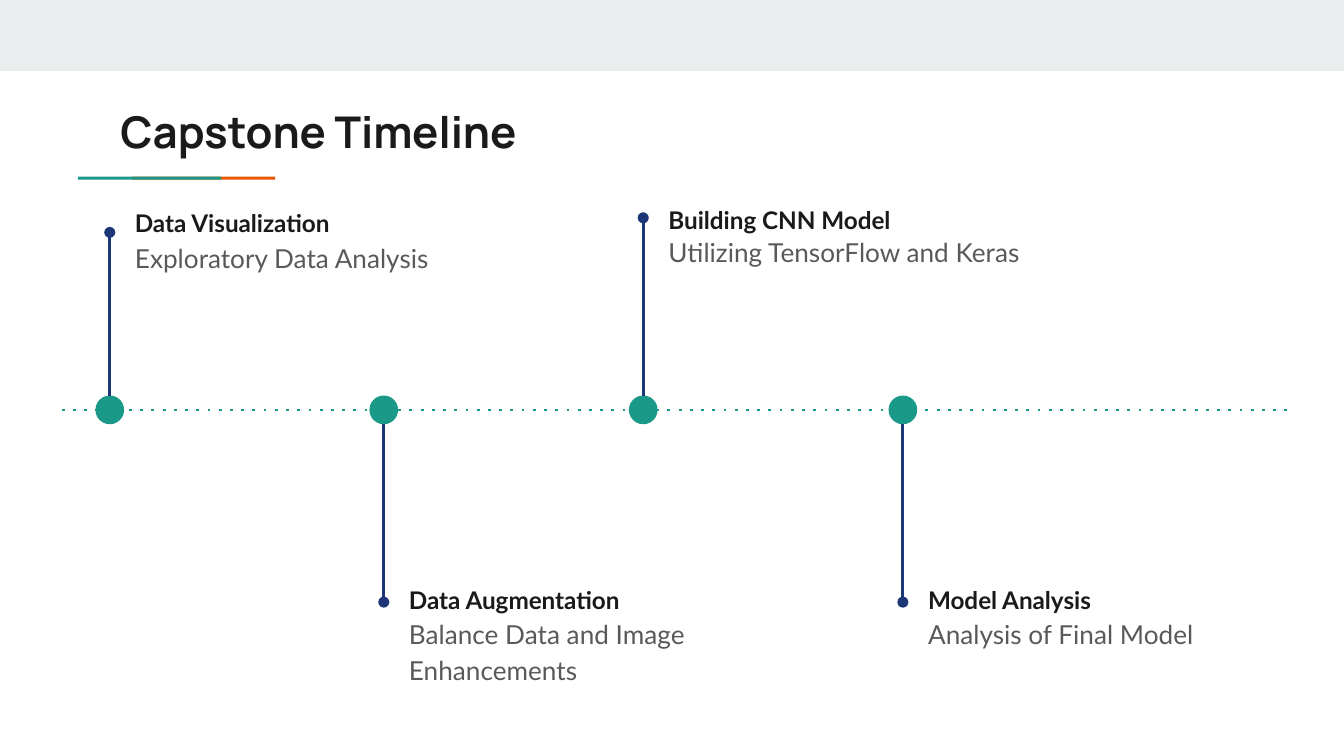
from dataclasses import dataclass

from lxml.etree import SubElement
from pptx import Presentation
from pptx.dml.color import RGBColor
from pptx.enum.dml import MSO_LINE
from pptx.enum.shapes import MSO_CONNECTOR, MSO_SHAPE
from pptx.enum.text import MSO_ANCHOR, PP_ALIGN
from pptx.oxml.ns import qn
from pptx.shapes.autoshape import Shape
from pptx.shapes.connector import Connector
from pptx.slide import Slide
from pptx.text.text import TextFrame
from pptx.util import Pt


@dataclass(frozen=True)
class Theme:
    band: str = "E9EDEE"
    teal: str = "1A9988"
    orange: str = "EB5600"
    navy: str = "1C3678"
    heading: str = "1A1A1A"
    detail: str = "595959"
    title_font: str = "Manrope"
    body_font: str = "Lato"
    title_size: float = 23.4
    heading_size: float = 13
    detail_size: float = 14
    line_width: float = 1.5


@dataclass(frozen=True)
class Milestone:
    x: float
    pin_end: float
    text_top: float
    heading: str
    detail: str
    line_spacing: float = 1.15
    space_after: float = 0


THEME = Theme()
AXIS_Y = 219.6
DOT_SIZE = 15.4
TEXT_GAP = 6.4
UPPER_TEXT, LOWER_TEXT = 102.2, 303.8
LOWER_PIN = 322.6

MILESTONES = [
    Milestone(58.8, 124.5, UPPER_TEXT, "Data Visualization",
              "Exploratory Data Analysis"),
    Milestone(205.6, LOWER_PIN, LOWER_TEXT, "Data Augmentation",
              "Balance Data and Image Enhancements", space_after=12),
    Milestone(344.6, 116.7, UPPER_TEXT, "Building CNN Model",
              "Utilizing TensorFlow and Keras", line_spacing=1.05),
    Milestone(483.7, LOWER_PIN, LOWER_TEXT, "Model Analysis",
              "Analysis of Final Model", space_after=12),
]


def add_filled(slide: Slide, kind: MSO_SHAPE, left: float, top: float,
               width: float, height: float, color: str) -> Shape:
    shape = slide.shapes.add_shape(kind, Pt(left), Pt(top), Pt(width), Pt(height))
    shape.shadow.inherit = False
    shape.fill.solid()
    shape.fill.fore_color.rgb = RGBColor.from_string(color)
    shape.line.fill.background()
    return shape


def add_line(slide: Slide, x1: float, y1: float, x2: float, y2: float,
             color: str) -> Connector:
    line = slide.shapes.add_connector(
        MSO_CONNECTOR.STRAIGHT, Pt(x1), Pt(y1), Pt(x2), Pt(y2))
    line.line.color.rgb = RGBColor.from_string(color)
    line.line.width = Pt(THEME.line_width)
    SubElement(line._element.spPr, qn("a:effectLst"))
    return line


def add_text_frame(slide: Slide, left: float, top: float,
                   width: float, height: float) -> TextFrame:
    box = slide.shapes.add_textbox(Pt(left), Pt(top), Pt(width), Pt(height))
    frame = box.text_frame
    frame.word_wrap = True
    frame.vertical_anchor = MSO_ANCHOR.TOP
    frame.margin_left = frame.margin_right = Pt(7.2)
    frame.margin_top = frame.margin_bottom = Pt(7.2)
    return frame


def add_run(paragraph, text: str, font: str, size: float, color: str,
            bold: bool) -> None:
    paragraph.alignment = PP_ALIGN.LEFT
    run = paragraph.add_run()
    run.text = text
    run.font.name = font
    run.font.size = Pt(size)
    run.font.bold = bold
    run.font.color.rgb = RGBColor.from_string(color)


def add_milestone(slide: Slide, milestone: Milestone) -> None:
    # Dot on the axis
    radius = DOT_SIZE / 2
    add_filled(slide, MSO_SHAPE.OVAL, milestone.x - radius, AXIS_Y - radius,
               DOT_SIZE, DOT_SIZE, THEME.teal)

    # Pin from the dot's edge to a round end
    direction = 1 if milestone.pin_end > AXIS_Y else -1
    pin = add_line(slide, milestone.x, AXIS_Y + direction * radius,
                   milestone.x, milestone.pin_end, THEME.navy)
    SubElement(pin.line._get_or_add_ln(), qn("a:tailEnd"), type="oval")

    # Heading and detail
    frame = add_text_frame(slide, milestone.x + TEXT_GAP, milestone.text_top,
                           209.5, 76.3)
    heading = frame.paragraphs[0]
    detail = frame.add_paragraph()
    add_run(heading, milestone.heading, THEME.body_font, THEME.heading_size,
            THEME.heading, True)
    add_run(detail, milestone.detail, THEME.body_font, THEME.detail_size,
            THEME.detail, False)
    heading.line_spacing = detail.line_spacing = milestone.line_spacing
    detail.space_after = Pt(milestone.space_after)


def main() -> None:
    presentation = Presentation()
    presentation.slide_width = Pt(720)
    presentation.slide_height = Pt(405)
    slide = presentation.slides.add_slide(presentation.slide_layouts[6])

    # Top band and overlapping underline bars
    add_filled(slide, MSO_SHAPE.RECTANGLE, 0, 0, 720, 38.2, THEME.band)
    for left, color in ((70.7, THEME.orange), (41.8, THEME.teal)):
        add_filled(slide, MSO_SHAPE.RECTANGLE, left, 94.7, 76.7, 1.6, color)

    # Title
    title = add_text_frame(slide, 57.4, 49, 605.5, 42.5)
    add_run(title.paragraphs[0], "Capstone Timeline", THEME.title_font,
            THEME.title_size, THEME.heading, True)

    # Timeline
    axis = add_line(slide, 33.1, AXIS_Y, 689.8, AXIS_Y, THEME.teal)
    axis.line.dash_style = MSO_LINE.ROUND_DOT
    axis.line._get_or_add_ln().find(qn("a:prstDash")).set("val", "dot")
    for milestone in MILESTONES:
        add_milestone(slide, milestone)

    presentation.save("out.pptx")


if __name__ == "__main__":
    main()
